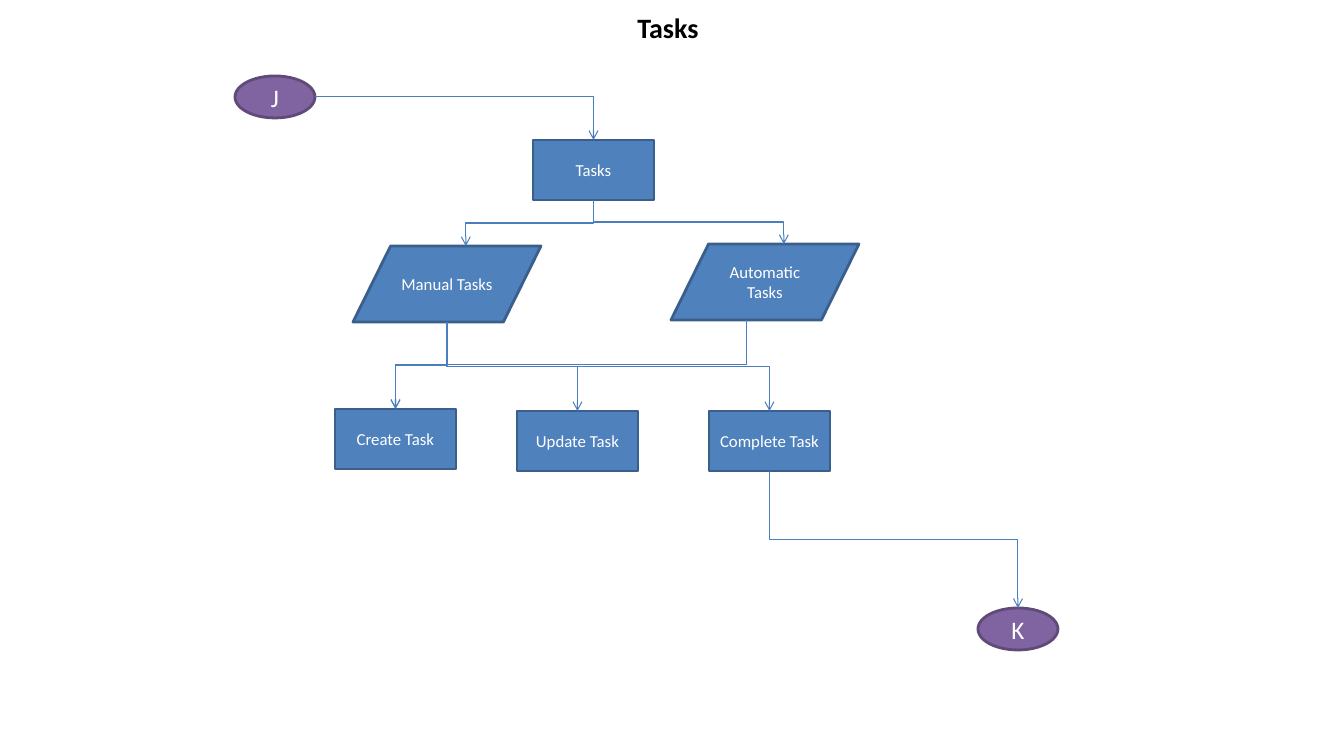
from dataclasses import dataclass

from lxml.etree import SubElement
from pptx import Presentation
from pptx.dml.color import RGBColor
from pptx.enum.shapes import MSO_CONNECTOR as Conn, MSO_SHAPE as Shp
from pptx.enum.text import MSO_ANCHOR as Anchor, PP_ALIGN as Align
from pptx.oxml.ns import qn
from pptx.util import Emu, Pt

COLORS = {
    "black": "000000", "white": "FFFFFF", "arrow": "4B7EBC",
    "blue": "4F81BD", "blue_edge": "3A5F8C",
    "purple": "8064A2", "purple_edge": "5F4A78",
}
FONT = "Calibri"
SCALE = 914400 / 100.8


def px(n: float) -> Emu:
    return Emu(round(n * SCALE))


def color(name: str) -> RGBColor:
    return RGBColor.from_string(COLORS[name])


@dataclass(frozen=True)
class Kind:
    shape: Shp
    width: int
    height: int
    fill: str
    size: int
    entry: float = 0.5  # where arrows arrive along the top edge


@dataclass(frozen=True)
class Node:
    kind: Kind
    text: str
    left: int
    top: int
    leave: float = 0.5  # where arrows start along the bottom edge

    @property
    def entry(self) -> tuple[float, float]:
        return self.left + self.kind.width * self.kind.entry, self.top

    @property
    def exit(self) -> tuple[float, float]:
        return self.left + self.kind.width * self.leave, self.top + self.kind.height

    @property
    def right(self) -> tuple[float, float]:
        return self.left + self.kind.width, self.top + self.kind.height / 2


LINK = Kind(Shp.OVAL, 80, 42, "purple", 18)
STEP = Kind(Shp.FLOWCHART_PROCESS, 121, 60, "blue", 12)
DATA = Kind(Shp.FLOWCHART_DATA, 188, 76, "blue", 12, 0.6)

link_j = Node(LINK, "J", 235, 76)
link_k = Node(LINK, "K", 978, 608)
tasks = Node(STEP, "Tasks", 533, 140)
manual = Node(DATA, "Manual Tasks", 353, 246)
automatic = Node(DATA, "Automatic Tasks", 671, 244, 0.4)
create = Node(STEP, "Create Task", 335, 409)
update = Node(STEP, "Update Task", 517, 411)
complete = Node(STEP, "Complete Task", 709, 411)

NODES = [link_j, link_k, manual, create, tasks, automatic, update, complete]
FLOWS = [
    (tasks, manual), (tasks, automatic),
    (manual, create), (manual, update), (manual, complete),
    (automatic, create), (complete, link_k),
]


def write(sp, text: str, size: int, ink: str, bold: bool = False) -> None:
    tf = sp.text_frame
    tf.word_wrap, tf.vertical_anchor = True, Anchor.MIDDLE
    p = tf.paragraphs[0]
    p.alignment = Align.CENTER
    r = p.add_run()
    r.text = text
    for key, value in {"name": FONT, "size": Pt(size), "bold": bold}.items():
        setattr(r.font, key, value)
    r.font.color.rgb = color(ink)


def draw_node(s, node: Node) -> None:
    k = node.kind
    sp = s.shapes.add_shape(k.shape, *map(px, (node.left, node.top, k.width, k.height)))
    sp.shadow.inherit = False
    sp.fill.solid()
    sp.fill.fore_color.rgb = color(k.fill)
    sp.line.color.rgb = color(k.fill + "_edge")
    sp.line.width = Pt(2)
    write(sp, node.text, k.size, "white")


def draw_arrow(s, x1: float, y1: float, x2: float, y2: float):
    c = s.shapes.add_connector(Conn.ELBOW, *map(px, (x1, y1, x2, y2)))
    c.line.color.rgb = color("arrow")
    c.line.width = Pt(0.75)
    SubElement(c.line._get_or_add_ln(), qn("a:tailEnd"), type="arrow")
    SubElement(c._element.spPr, qn("a:effectLst"))
    return c


def draw_flow(s, start: Node, end: Node) -> None:
    """Down, across and down: a horizontal elbow turned by a quarter."""
    (x1, y1), (x2, y2) = start.exit, end.entry
    mid_x, mid_y = (x1 + x2) / 2, (y1 + y2) / 2
    half_w, half_h = (y2 - y1) / 2, abs(x2 - x1) / 2
    c = draw_arrow(s, mid_x - half_w, mid_y - half_h, mid_x + half_w, mid_y + half_h)
    xfrm = c._element.spPr.find(qn("a:xfrm"))
    turn = {"rot": "5400000"} if x2 < x1 else {"rot": "16200000", "flipH": "1"}
    for key, value in turn.items():
        xfrm.set(key, value)


def draw_corner(s, start: Node, end: Node) -> None:
    """Across, then down."""
    c = draw_arrow(s, *start.right, *end.entry)
    c._element.spPr.find(qn("a:prstGeom")).set("prst", "bentConnector2")


prs = Presentation()
prs.slide_width, prs.slide_height = px(1344), px(756)
s = prs.slides.add_slide(prs.slide_layouts[5])

# Title
title = s.shapes.title
box = {"left": 168, "top": 5, "width": 1000, "height": 45}
for key, value in box.items():
    setattr(title, key, px(value))
write(title, "Tasks", 20, "black", bold=True)

# Flowchart nodes
for node in NODES:
    draw_node(s, node)

# Arrows
for start, end in FLOWS:
    draw_flow(s, start, end)
draw_corner(s, link_j, tasks)

prs.save("out.pptx")
